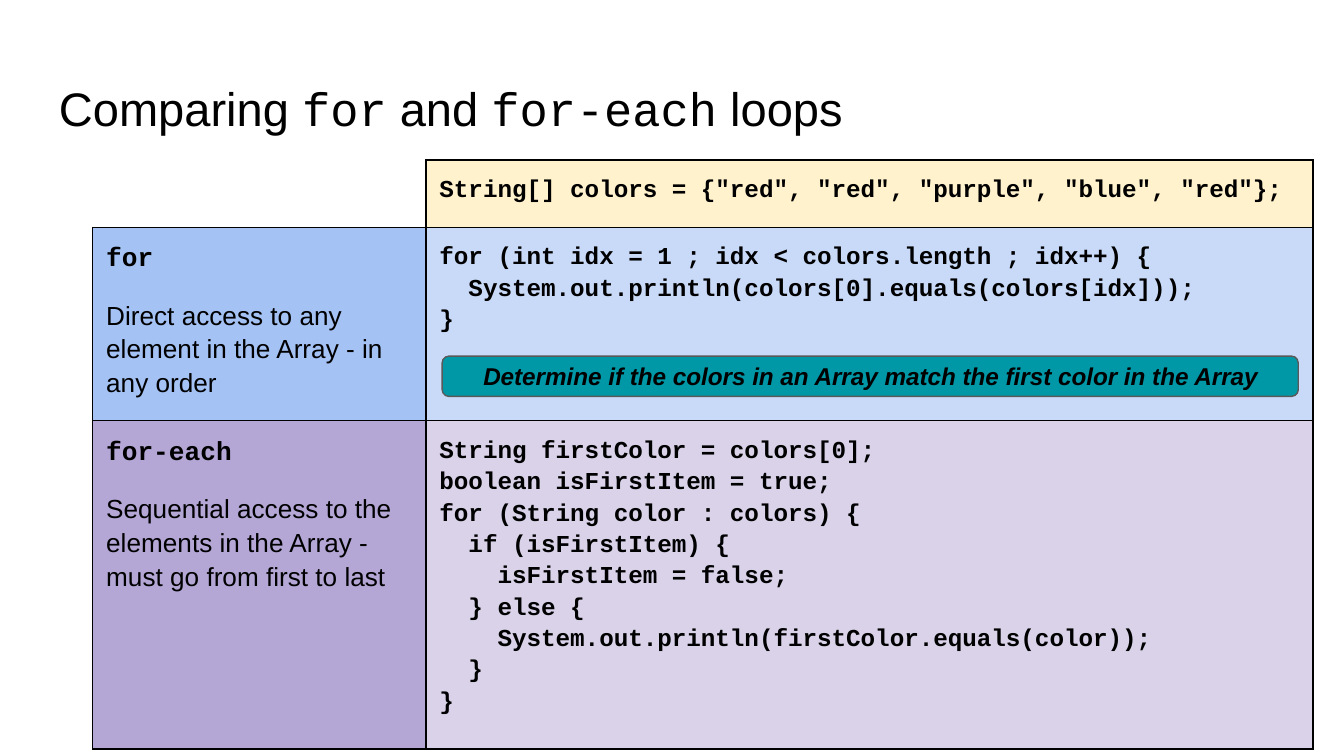
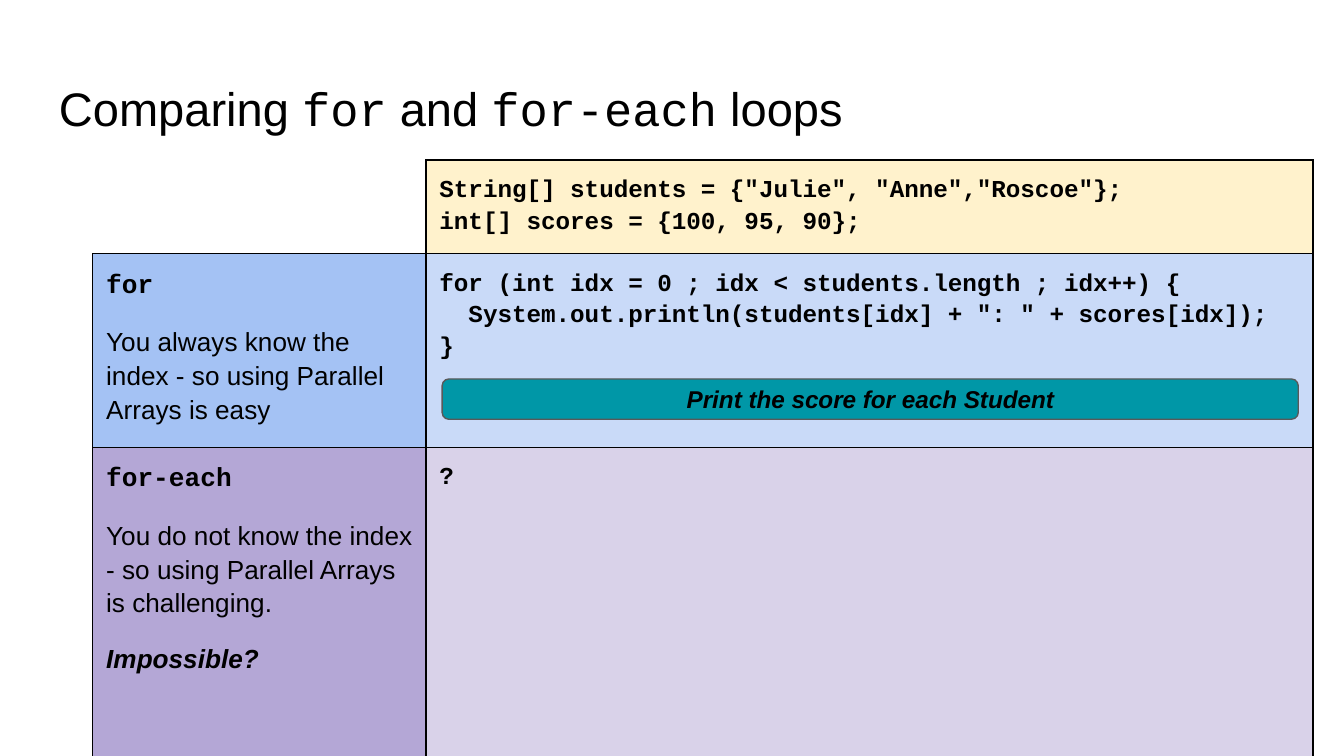
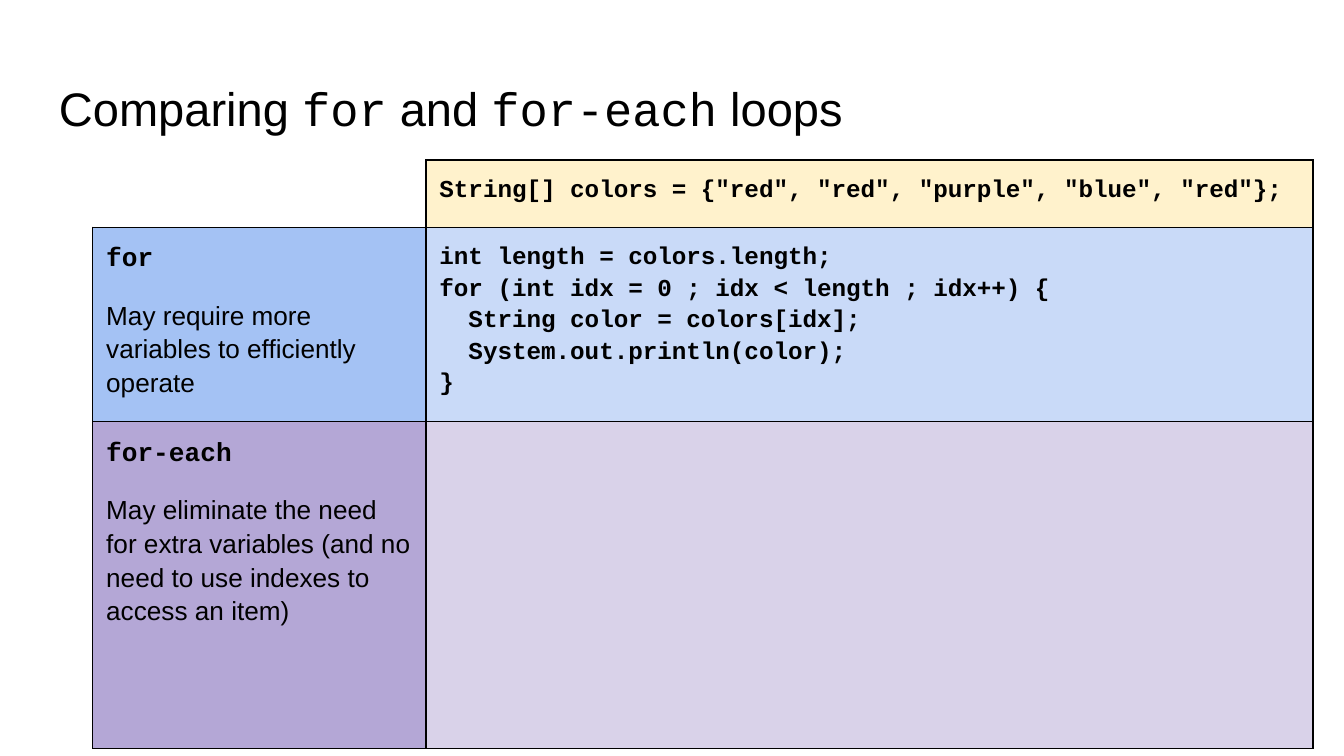
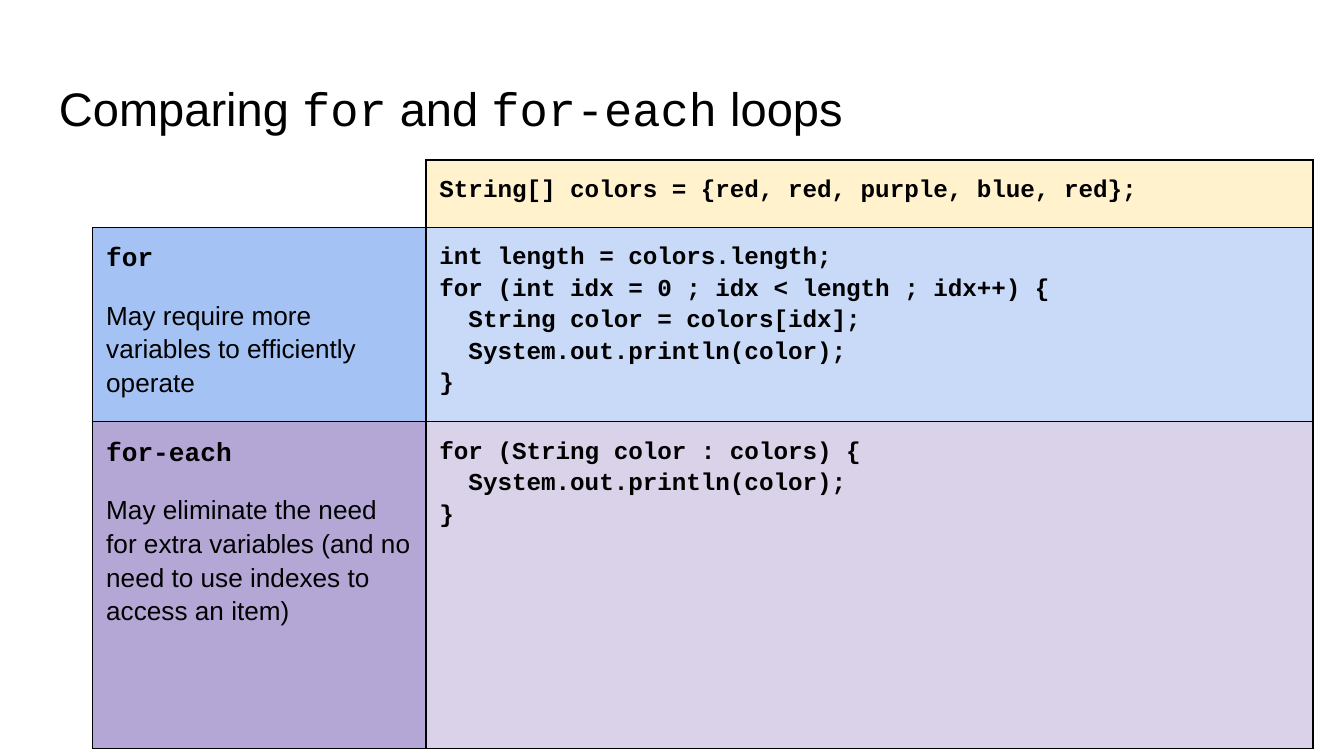
from copy import deepcopy
from dataclasses import dataclass

from lxml import etree
from pptx import Presentation
from pptx.dml.color import RGBColor
from pptx.enum.shapes import MSO_SHAPE
from pptx.enum.text import MSO_ANCHOR, PP_ALIGN
from pptx.oxml.ns import qn
from pptx.util import Inches, Pt

ROUND = MSO_SHAPE.ROUNDED_RECTANGLE
TOP, MIDDLE = MSO_ANCHOR.TOP, MSO_ANCHOR.MIDDLE
LEFT, CENTER = PP_ALIGN.LEFT, PP_ALIGN.CENTER


@dataclass(frozen=True)
class Theme:
    ink: str = "000000"
    data: str = "FFF2CC"
    blue: str = "A4C2F4"
    sky: str = "C9DAF8"
    plum: str = "B4A7D6"
    lilac: str = "D9D2E9"
    teal: str = "0097A7"
    edge: str = "595959"
    sans: str = "Arial"
    mono: str = "Courier New"
    title: float = 25.2
    blank: float = 18
    note: float = 14
    code: float = 13
    gap: float = 12
    leading: float = 1.15
    line: float = 0.75


@dataclass(frozen=True)
class Goal:
    text: str
    top: float


@dataclass(frozen=True)
class Page:
    data: str
    for_note: str
    for_code: str
    each_note: str
    each_code: str = ""
    doubt: str = ""
    goal: Goal | None = None


THEME = Theme()
WIDTH = 10
HEIGHT = WIDTH * 9 / 16
COLS = (2.48, 6.6)
ROWS = (0.41, 1.32, 2.43)
FRAME = 3.28
TITLE = (("Comparing ", THEME.sans), ("for", THEME.mono), (" and ", THEME.sans),
         ("for-each", THEME.mono), (" loops", THEME.sans))

COLORS = 'String[] colors = {"red", "red", "purple", "blue", "red"};'
MORE = "May require more variables to efficiently operate"
LESS = ("May eliminate the need for extra variables "
        "(and no need to use indexes to access an item)")
INDEX_LOOP = """int length = colors.length;
for (int idx = 0 ; idx < length ; idx++) {
  String color = colors[idx];
  System.out.println(color);
}"""

PAGES = (
    Page(
        data=COLORS,
        for_note="Direct access to any element in the Array - in any order",
        for_code="""for (int idx = 1 ; idx < colors.length ; idx++) {
  System.out.println(colors[0].equals(colors[idx]));
}""",
        each_note="Sequential access to the elements in the Array - "
                  "must go from first to last",
        each_code="""String firstColor = colors[0];
boolean isFirstItem = true;
for (String color : colors) {
  if (isFirstItem) {
    isFirstItem = false;
  } else {
    System.out.println(firstColor.equals(color));
  }
}""",
        goal=Goal("Determine if the colors in an Array match "
                  "the first color in the Array", 2.65),
    ),
    Page(
        data="""String[] students = {"Julie", "Anne","Roscoe"};
int[] scores = {100, 95, 90};""",
        for_note="You always know the index - so using Parallel Arrays is easy",
        for_code="""for (int idx = 0 ; idx < students.length ; idx++) {
  System.out.println(students[idx] + ": " + scores[idx]);
}""",
        each_note="You do not know the index - so using Parallel Arrays "
                  "is challenging.",
        each_code="?",
        doubt="Impossible?",
        goal=Goal("Print the score for each Student", 2.82),
    ),
    Page(COLORS, MORE, INDEX_LOOP, LESS),
    Page(
        data="String[] colors = {red, red, purple, blue, red};",
        for_note=MORE,
        for_code=INDEX_LOOP,
        each_note=LESS,
        each_code="""for (String color : colors) {
  System.out.println(color);
}""",
    ),
)


def rgb(value: str) -> RGBColor:
    return RGBColor.from_string(value)


def write(par, text: str, *, size: float, face: str = THEME.sans,
          bold: bool = False, slant: bool = False) -> None:
    """Add text to a paragraph; each newline becomes a line break."""
    for num, part in enumerate(text.split("\n")):
        if num:
            par.add_line_break()
        run = par.add_run()
        run.text = part
        font = run.font
        font.size, font.name, font.bold, font.italic = Pt(size), face, bold, slant
        font.color.rgb = rgb(THEME.ink)
        if num:
            # A break without its own size would take the default line height.
            run._r.getprevious().append(deepcopy(run._r.rPr))


def space(par, before: float = 0, after: float = 0) -> None:
    par.line_spacing = THEME.leading
    par.space_before, par.space_after = Pt(before), Pt(after)


def pad(box, right: float = 0.1) -> None:
    box.margin_left = box.margin_top = box.margin_bottom = Inches(0.1)
    box.margin_right = Inches(right)


def add_title(slide) -> None:
    box = slide.shapes.add_textbox(
        Inches(0.34), Inches(0.49), Inches(9.32), Inches(0.63))
    frame = box.text_frame
    frame.word_wrap = True
    frame.vertical_anchor = TOP
    pad(frame)
    par = frame.paragraphs[0]
    par.alignment = LEFT
    for text, face in TITLE:
        write(par, text, size=THEME.title, face=face)


def set_edges(cell, drawn: str) -> None:
    """Line the sides named in drawn (of L, R, T, B) and clear the rest."""
    props = cell._tc.get_or_add_tcPr()
    for side in "LRTB":
        line = etree.SubElement(props, qn(f"a:ln{side}"), w=str(Pt(THEME.line)))
        if side in drawn:
            fill = etree.SubElement(line, qn("a:solidFill"))
            etree.SubElement(fill, qn("a:srgbClr"), val=THEME.ink)
        else:
            etree.SubElement(line, qn("a:noFill"))


def put_blank(cell) -> None:
    """Set the font that gives an empty cell its least height."""
    par = cell.text_frame.paragraphs[0]
    end = etree.SubElement(
        par._p, qn("a:endParaRPr"), sz=str(round(THEME.blank * 100)))
    etree.SubElement(end, qn("a:latin"), typeface=THEME.sans)


def put_code(cell, code: str) -> None:
    if not code:
        put_blank(cell)
        return
    par = cell.text_frame.paragraphs[0]
    space(par, after=THEME.gap)
    write(par, code, size=THEME.code, face=THEME.mono, bold=True)


def put_note(cell, name: str, note: str, doubt: str = "") -> None:
    frame = cell.text_frame
    head = frame.paragraphs[0]
    space(head)
    write(head, name, size=THEME.note, face=THEME.mono, bold=True)
    body = frame.add_paragraph()
    space(body, THEME.gap, 0 if doubt else THEME.gap)
    write(body, note, size=THEME.note)
    if doubt:
        last = frame.add_paragraph()
        space(last, THEME.gap, THEME.gap)
        write(last, doubt, size=THEME.note, bold=True, slant=True)


def add_grid(slide, page: Page) -> None:
    shape = slide.shapes.add_table(
        len(ROWS), len(COLS), Inches(0.69), Inches(1.19),
        Inches(FRAME), Inches(FRAME))
    grid = shape.table
    grid.first_row = grid.horz_banding = False
    for col, width in zip(grid.columns, COLS):
        col.width = Inches(width)
    for row, height in zip(grid.rows, ROWS):
        row.height = Inches(height)
    # A frame smaller than its rows keeps them from being stretched.
    shape.width = shape.height = Inches(FRAME)

    fills = (None, THEME.data, THEME.blue, THEME.sky, THEME.plum, THEME.lilac)
    for cell, fill in zip(grid.iter_cells(), fills):
        pad(cell, right=0.09)
        set_edges(cell, "LRTB" if fill else "RB")
        if fill:
            cell.fill.solid()
            cell.fill.fore_color.rgb = rgb(fill)
        else:
            cell.fill.background()

    put_blank(grid.cell(0, 0))
    for row, code in enumerate((page.data, page.for_code, page.each_code)):
        put_code(grid.cell(row, 1), code)
    put_note(grid.cell(1, 0), "for", page.for_note)
    put_note(grid.cell(2, 0), "for-each", page.each_note, page.doubt)


def add_goal(slide, goal: Goal) -> None:
    bar = slide.shapes.add_shape(
        ROUND, Inches(3.29), Inches(goal.top), Inches(6.37), Inches(0.3))
    bar.shadow.inherit = False
    bar.fill.solid()
    bar.fill.fore_color.rgb = rgb(THEME.teal)
    bar.line.color.rgb = rgb(THEME.edge)
    bar.line.width = Pt(THEME.line)
    frame = bar.text_frame
    frame.word_wrap = True
    frame.vertical_anchor = MIDDLE
    pad(frame)
    par = frame.paragraphs[0]
    par.alignment = CENTER
    write(par, goal.text, size=THEME.code, bold=True, slant=True)


def main() -> None:
    deck = Presentation()
    deck.slide_width, deck.slide_height = Inches(WIDTH), Inches(HEIGHT)
    for page in PAGES:
        slide = deck.slides.add_slide(deck.slide_layouts[6])
        add_title(slide)
        add_grid(slide, page)
        if page.goal:
            add_goal(slide, page.goal)
    deck.save("out.pptx")


if __name__ == "__main__":
    main()
